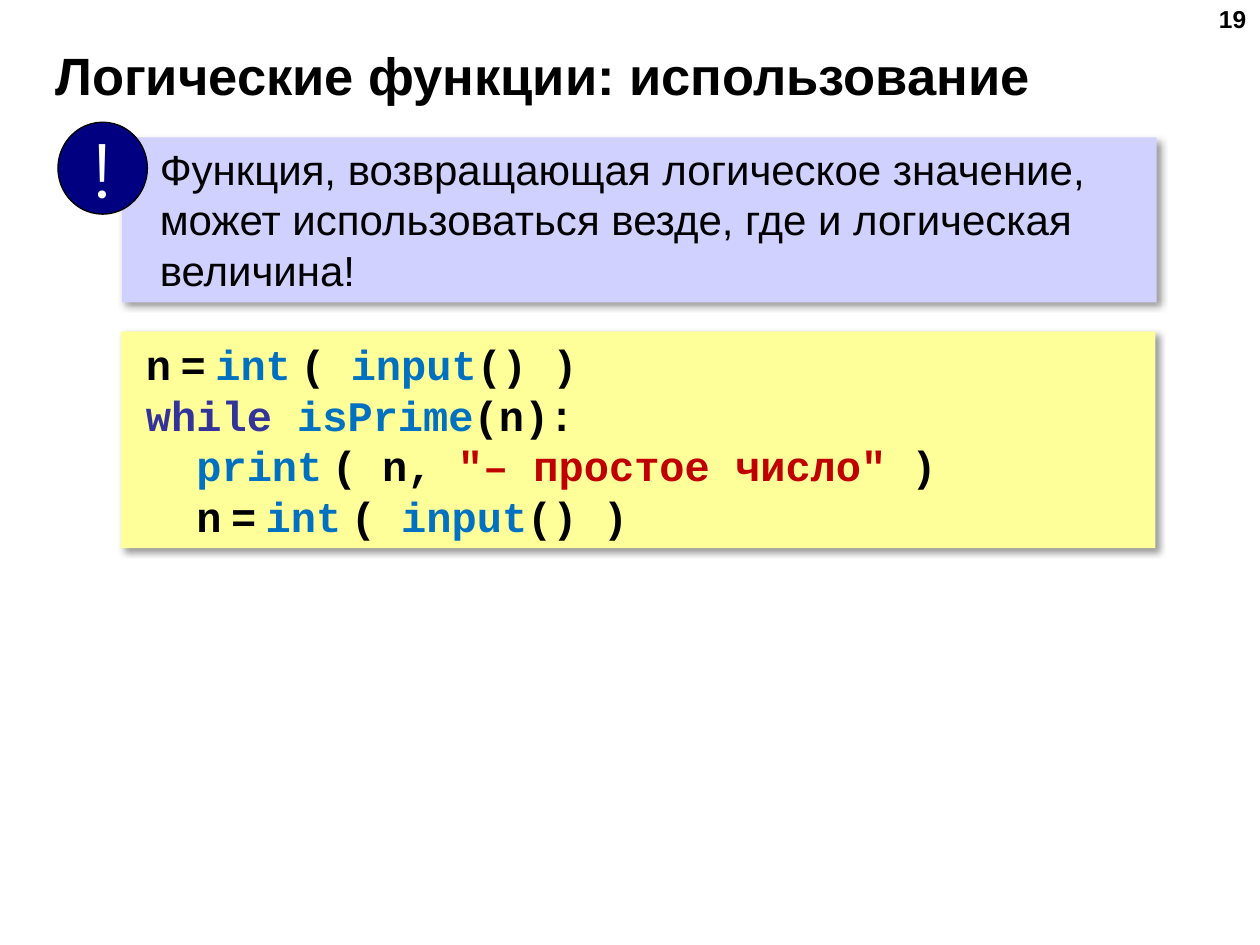
from lxml.etree import SubElement
from pptx import Presentation
from pptx.dml.color import RGBColor
from pptx.enum.shapes import MSO_SHAPE
from pptx.enum.text import MSO_ANCHOR, PP_ALIGN
from pptx.oxml.ns import qn
from pptx.util import Inches, Pt

COLORS = {
    "text": "000000",
    "call": "0070C0",
    "keyword": "333399",
    "string": "C00000",
    "code_fill": "FFFF99",
    "note_fill": "D1D1FF",
    "badge_fill": "000080",
    "badge_text": "FFFFFF",
    "shadow": "000000",
}
CODE_FONT, CODE_SIZE, NARROW_SPACE_SIZE = "Courier New", 24, 9

READ_NUMBER = [
    ("n", "text"), (" ", "text"), ("=", "text"), (" ", "text"),
    ("int", "call"), (" ", "call"), ("( ", "text"), ("input", "call"), ("() )", "text"),
]
CODE_LINES = [
    (0, READ_NUMBER),
    (0, [("while ", "keyword"), ("isPrime", "call"), ("(n):", "text")]),
    (0.4, [("print", "call"), (" ", "call"), ("( n, ", "text"),
           ('"– простое число"', "string"), (" )", "text")]),
    (0.4, READ_NUMBER),
]


def rgb(name):
    return RGBColor.from_string(COLORS[name])


def style_run(run, size, color="text", font="Arial", bold=False):
    run.font.name = font
    run.font.size = Pt(size)
    run.font.bold = bold
    run.font.color.rgb = rgb(color)


def indent(paragraph, left):
    paragraph._p.get_or_add_pPr().set("marL", str(Inches(left)))


def add_shadow(shape):
    effects = shape._element.spPr.find(qn("a:effectLst"))
    shadow = SubElement(effects, qn("a:outerShdw"), blurRad=str(Pt(4)),
                        dist=str(Pt(3)), dir="2700000", algn="tl", rotWithShape="0")
    color = SubElement(shadow, qn("a:srgbClr"), val=COLORS["shadow"])
    SubElement(color, qn("a:alpha"), val="40000")


def add_label(slide, left, top, width, height, text, size, align, anchor):
    label = slide.shapes.add_textbox(Inches(left), Inches(top), Inches(width), Inches(height))
    frame = label.text_frame
    frame.word_wrap = True
    frame.vertical_anchor = anchor
    frame.text = text
    paragraph = frame.paragraphs[0]
    paragraph.alignment = align
    style_run(paragraph.runs[0], size, bold=True)


def add_panel(shapes, kind, left, top, width, height, fill, anchor):
    panel = shapes.add_shape(kind, Inches(left), Inches(top), Inches(width), Inches(height))
    panel.shadow.inherit = False
    panel.fill.solid()
    panel.fill.fore_color.rgb = rgb(fill)
    panel.line.fill.background()
    panel.text_frame.vertical_anchor = anchor
    return panel


def add_code(slide):
    listing = add_panel(slide.shapes, MSO_SHAPE.RECTANGLE, 0.96, 2.63, 8.21, 1.72,
                        "code_fill", MSO_ANCHOR.MIDDLE)
    add_shadow(listing)
    frame = listing.text_frame
    for number, (depth, tokens) in enumerate(CODE_LINES):
        line = frame.add_paragraph() if number else frame.paragraphs[0]
        line.alignment = PP_ALIGN.JUSTIFY
        indent(line, 0.1 + depth)
        for text, color in tokens:
            run = line.add_run()
            run.text = text
            size = NARROW_SPACE_SIZE if text == " " else CODE_SIZE
            style_run(run, size, color, CODE_FONT, True)


def add_note(slide, text):
    group = slide.shapes.add_group_shape()
    note = add_panel(group.shapes, MSO_SHAPE.RECTANGLE, 0.97, 1.09, 8.21, 1.31,
                     "note_fill", MSO_ANCHOR.TOP)
    add_shadow(note)
    note.text_frame.text = text
    paragraph = note.text_frame.paragraphs[0]
    paragraph.alignment = PP_ALIGN.LEFT
    indent(paragraph, 0.2)
    style_run(paragraph.runs[0], 24)

    badge = add_panel(group.shapes, MSO_SHAPE.OVAL, 0.46, 0.97, 0.71, 0.73,
                      "badge_fill", MSO_ANCHOR.MIDDLE)
    badge.line.color.rgb = rgb("text")
    badge.line.width = Pt(0.75)
    badge.text_frame.word_wrap = False
    badge.text_frame.text = "!"
    mark = badge.text_frame.paragraphs[0]
    mark.alignment = PP_ALIGN.CENTER
    style_run(mark.runs[0], 44, "badge_text", "Montserrat")


def main():
    presentation = Presentation()
    presentation.slide_width = Inches(10)
    presentation.slide_height = Inches(7.5)
    slide = presentation.slides.add_slide(presentation.slide_layouts[6])
    add_label(slide, 0.34, 0.33, 9.16, 0.52, "Логические функции: использование",
              30, PP_ALIGN.LEFT, MSO_ANCHOR.MIDDLE)
    add_label(slide, 7.66, -0.02, 2.33, 0.52, "19", 14, PP_ALIGN.RIGHT, MSO_ANCHOR.TOP)
    add_code(slide)
    add_note(slide, "Функция, возвращающая логическое значение, "
                    "может использоваться везде, где и логическая величина!")
    presentation.save("out.pptx")


if __name__ == "__main__":
    main()
